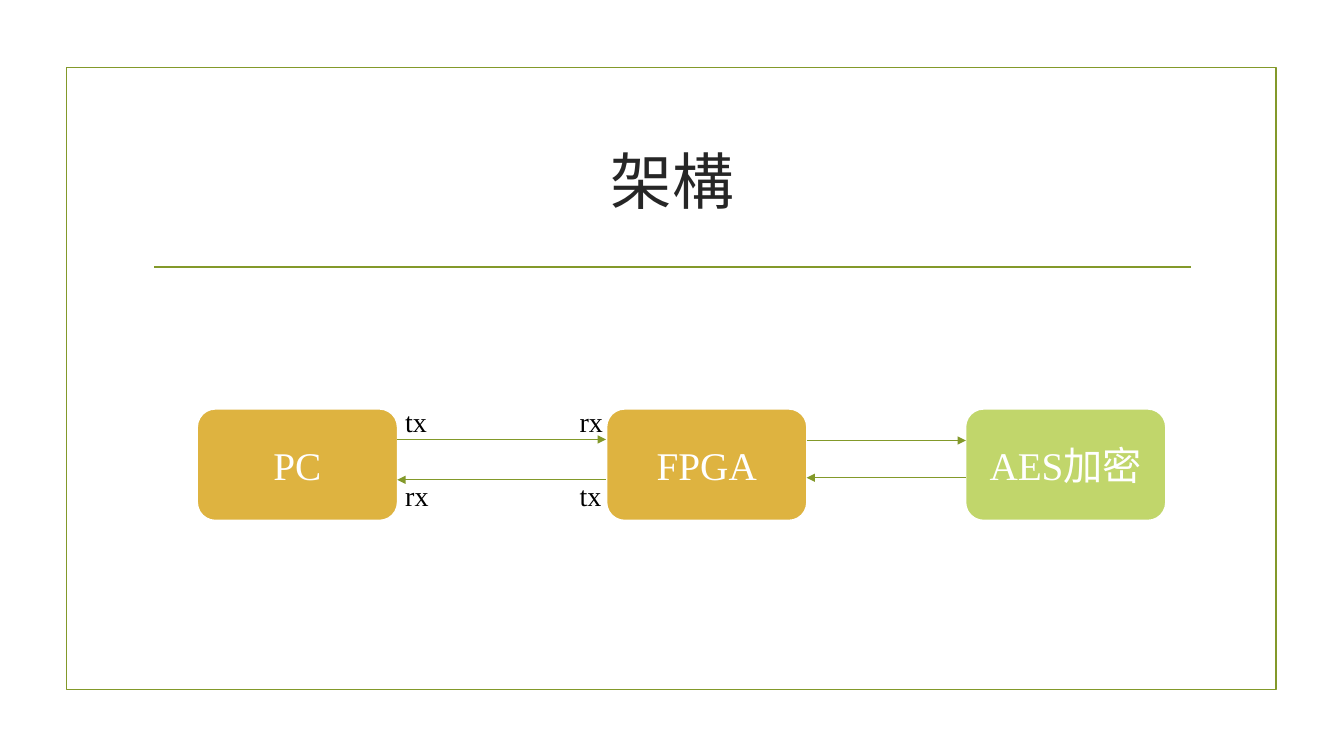
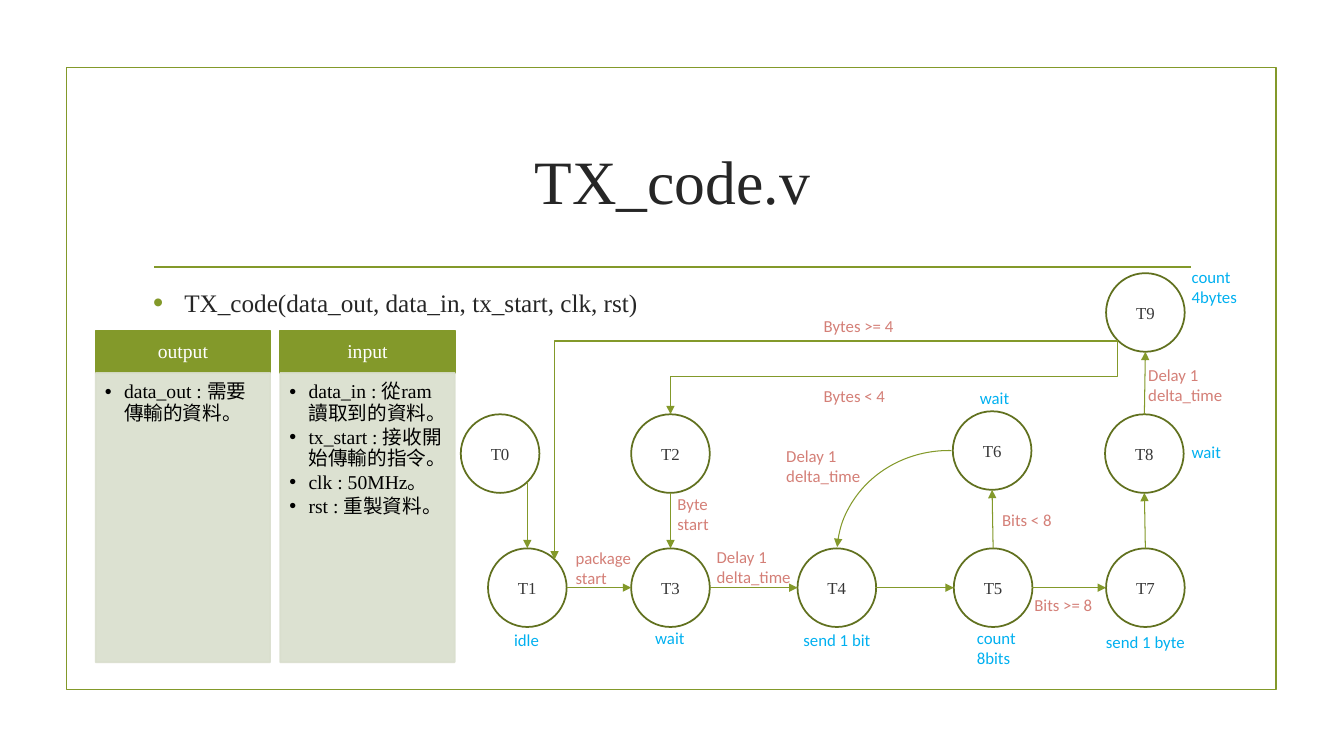
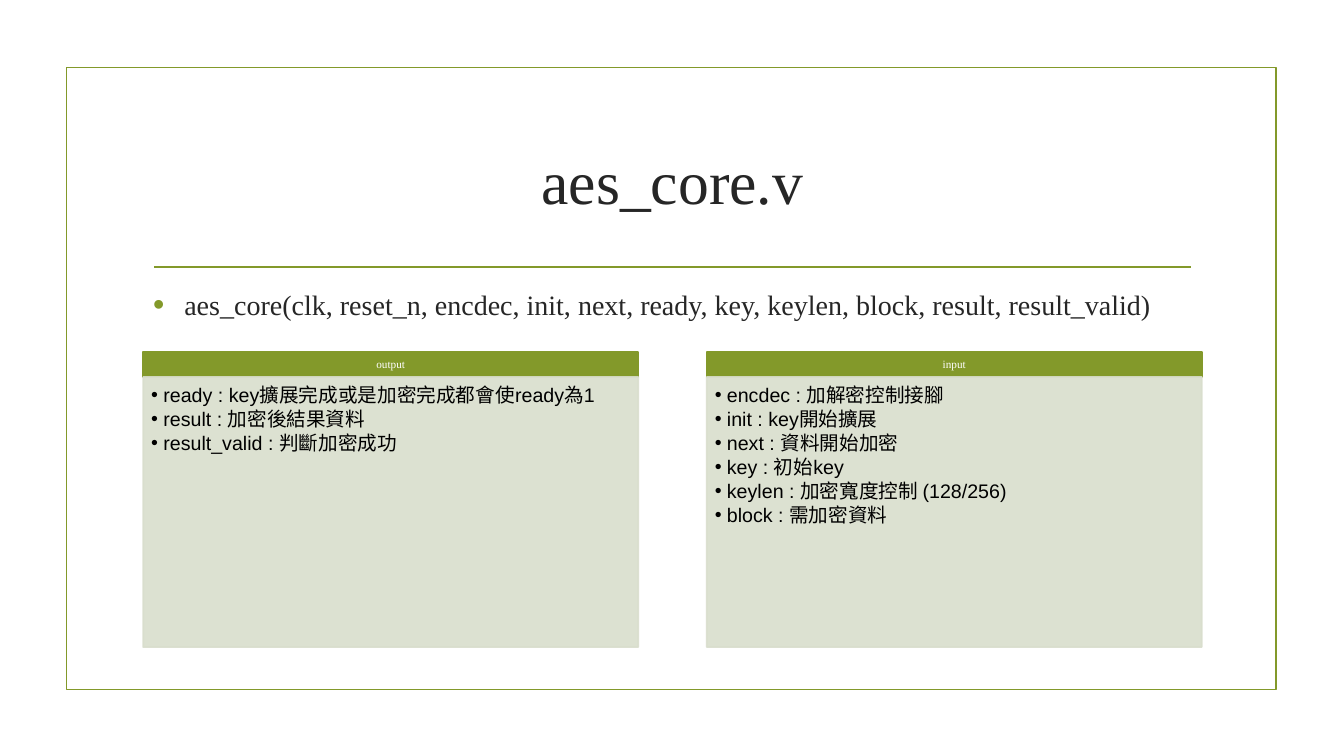
from lxml import etree
from pptx import Presentation
from pptx import util as u
from pptx.dml.color import RGBColor
from pptx.enum import shapes, text
from pptx.oxml.ns import qn

PX = 9144
GREEN, OLIVE, SAGE = "83992A", "61711F", "D9DECD"
GOLD, LIME, WHITE, BLACK = "DEB340", "C1D66B", "FFFFFF", "000000"
INK, STATE_INK, ROSE, SKY = "262626", "373737", "D47F77", "00B0F0"
SERIF, SANS, ARIAL = "Times New Roman", "Calibri", "Arial"
SHAPE = shapes.MSO_SHAPE
CENTER, MIDDLE = text.PP_ALIGN.CENTER, text.MSO_ANCHOR.MIDDLE

BLOCKS = [("PC", 195, GOLD), ("FPGA", 601, GOLD), ("AES加密", 957, LIME)]
BLOCK_TOP, BLOCK_W, BLOCK_H = 405, 200, 112
LINKS = [(394, 436, 601, 436), (601, 476, 394, 476),
         (800, 437, 958, 437), (958, 474, 800, 474)]
PORTS = [("tx", 392, 396), ("rx", 565, 396), ("rx", 392, 470), ("tx", 565, 470)]

STATES = {"T0": (496, 450), "T1": (523, 583), "T2": (665, 450), "T3": (665, 583),
          "T4": (830, 583), "T5": (985, 583), "T6": (984, 447), "T7": (1136, 583),
          "T8": (1135, 450), "T9": (1136, 310)}
RADIUS = 39
STEPS = [("T1", "T3"), ("T2", "T3"), ("T3", "T4"), ("T4", "T5"), ("T5", "T6"),
         ("T5", "T7"), ("T7", "T8"), ("T8", "T9")]
RETURNS = [(1108, 337, 550, 555, 0.006), (1108, 337, 665, 411, 0.5)]
NOTES = [
    ("idle", 500, 620, 48), ("wait", 640, 618, 51), ("send 1 bit", 787, 620, 88),
    ("count 8bits", 959, 618, 60), ("send 1 byte", 1087, 622, 101),
    ("wait", 962, 380, 51), ("wait", 1172, 433, 51), ("count 4bytes", 1172, 260, 71),
]
CONDITIONS = [
    ("package start", 561, 538, 78), ("Delay 1 delta_time", 701, 537, 106),
    ("Delay 1 delta_time", 1129, 357, 96), ("Delay 1 delta_time", 770, 437, 96),
    ("Bytes < 4", 807, 378, 91), ("Bytes >= 4", 807, 308, 91),
    ("Bits < 8", 984, 501, 78), ("Bits >= 8", 1016, 585, 91),
    ("Byte\nstart", 662, 485, 52),
]

TX_PANELS = [
    ("output", 95, ["data_out : 需要傳輸的資料。"]),
    ("input", 278, ["data_in : 從ram讀取到的資料。", "tx_start : 接收開始傳輸的指令。",
                    "clk : 50MHz。", "rst : 重製資料。"]),
]
TX_STYLE = dict(top=328, width=173, head_h=42, body_h=287, head_size=14, font=SERIF,
                indent=19, head_ins=(12, 7, 12, 7), body_ins=(9, 9, 12, 14))
AES_PANELS = [
    ("output", 142, ["ready : key擴展完成或是加密完成都會使ready為1",
                     "result : 加密後結果資料", "result_valid : 判斷加密成功"]),
    ("input", 701, ["encdec : 加解密控制接腳", "init : key開始擴展", "next : 資料開始加密",
                    "key : 初始key", "keylen : 加密寬度控制 (128/256)",
                    "block : 需加密資料"]),
]
AES_STYLE = dict(top=349, width=491, head_h=25, body_h=268, head_size=8, font=ARIAL,
                 indent=12, head_ins=(6, 4, 6, 4), body_ins=(8, 8, 11, 12))


def px(n):
    return u.Emu(round(n * PX))


def rgb(color):
    return RGBColor.from_string(color)


def write(sp, content, size, color, font=SERIF, align=None, anchor=text.MSO_ANCHOR.TOP,
          ins=(10, 5, 10, 5), spacing=None, before=0, after=0):
    tf = sp.text_frame
    tf.word_wrap = True
    tf.vertical_anchor = anchor
    tf.margin_left, tf.margin_top, tf.margin_right, tf.margin_bottom = map(px, ins)
    tf.text = content
    for p in tf.paragraphs:
        p.alignment = align or text.PP_ALIGN.LEFT
        p.space_before, p.space_after = u.Pt(before), u.Pt(after)
        if spacing:
            p.line_spacing = spacing
        for r in p.runs:
            r.font.size, r.font.name = u.Pt(size), font
            r.font.color.rgb = rgb(color)
    return sp


def label(s, x, y, w, h, content, size, color, **style):
    return write(s.shapes.add_textbox(px(x), px(y), px(w), px(h)), content, size, color, **style)


def bullets(sp, indent, color=None, percent=None):
    for p in sp.text_frame.paragraphs:
        pPr = p._p.get_or_add_pPr()
        pPr.set("marL", str(px(indent)))
        pPr.set("indent", str(-px(indent)))
        if color:
            clr = etree.SubElement(pPr, qn("a:buClr"))
            etree.SubElement(clr, qn("a:srgbClr"), val=color)
        if percent:
            etree.SubElement(pPr, qn("a:buSzPct"), val=str(percent * 1000))
        etree.SubElement(pPr, qn("a:buFont"), typeface=ARIAL)
        etree.SubElement(pPr, qn("a:buChar"), char="•")


def box(s, kind, x, y, w, h, fill=None, line=GREEN, width=1.25):
    sp = s.shapes.add_shape(kind, px(x), px(y), px(w), px(h))
    sp.shadow.inherit = False
    if fill:
        sp.fill.solid()
        sp.fill.fore_color.rgb = rgb(fill)
    else:
        sp.fill.background()
    sp.line.color.rgb = rgb(line)
    sp.line.width = u.Pt(width)
    return sp


def arrowhead(sp):
    etree.SubElement(sp.line._get_or_add_ln(), qn("a:tailEnd"), type="triangle")


def connect(s, x1, y1, x2, y2, width=0.75, arrow=True, kind=shapes.MSO_CONNECTOR.STRAIGHT):
    c = s.shapes.add_connector(kind, px(x1), px(y1), px(x2), px(y2))
    c.line.color.rgb = rgb(GREEN)
    c.line.width = u.Pt(width)
    if arrow:
        arrowhead(c)
    etree.SubElement(c._element.spPr, qn("a:effectLst"))
    return c


def elbow_down(s, x1, y1, x2, y2, bend):
    w, h = y2 - y1, x1 - x2
    left, top = (x1 + x2 - w) / 2, (y1 + y2 - h) / 2
    c = connect(s, left, top, left + w, top + h, kind=shapes.MSO_CONNECTOR.ELBOW)
    spPr = c._element.spPr
    spPr.find(qn("a:xfrm")).set("rot", "5400000")
    geom = spPr.find(qn("a:prstGeom"))
    av = geom.find(qn("a:avLst"))
    if av is None:
        av = etree.SubElement(geom, qn("a:avLst"))
    etree.SubElement(av, qn("a:gd"), name="adj1", fmla=f"val {round(bend * 100000)}")


def panel(s, head, x, items, top, width, head_h, body_h, head_size, font, indent,
          head_ins, body_ins):
    sp = box(s, SHAPE.RECTANGLE, x, top, width, head_h, GREEN)
    write(sp, head, head_size, WHITE, align=CENTER, anchor=MIDDLE, ins=head_ins, spacing=0.9)
    sp = box(s, SHAPE.RECTANGLE, x, top + head_h, width, body_h, SAGE, SAGE)
    for clr in sp._element.spPr.iter(qn("a:srgbClr")):
        etree.SubElement(clr, qn("a:alpha"), val="90000")
    write(sp, "\n".join(items), 14, BLACK, font=font, ins=body_ins, spacing=0.9, after=2)
    bullets(sp, indent)


def new_slide(prs, title, signature=None, size=18):
    s = prs.slides.add_slide(prs.slide_layouts[6])
    box(s, SHAPE.RECTANGLE, 66, 67, 1200, 617)
    connect(s, 153, 265, 1181, 265, width=1.25, arrow=False)
    label(s, 142, 107, 1050, 143, title, 44, INK, align=CENTER, anchor=MIDDLE)
    if signature:
        sp = label(s, 142, 280, 1050, 363, signature, size, INK, before=size * 0.2, after=6)
        bullets(sp, 31, GREEN, 115)
    return s


def architecture(prs):
    s = new_slide(prs, "架構")
    for name, x, fill in BLOCKS:
        sp = box(s, SHAPE.ROUNDED_RECTANGLE, x, BLOCK_TOP, BLOCK_W, BLOCK_H, fill, WHITE, 2)
        write(sp, name, 28, WHITE, align=CENTER, anchor=MIDDLE)
    for link in LINKS:
        connect(s, *link)
    for name, x, y in PORTS:
        label(s, x, y, 51, 44, name, 20, BLACK)


def state_machine(prs):
    s = new_slide(prs, "TX_code.v", "TX_code(data_out, data_in, tx_start, clk, rst)")
    for head, x, items in TX_PANELS:
        panel(s, head, x, items, **TX_STYLE)
    for name, (x, y) in STATES.items():
        sp = box(s, SHAPE.FLOWCHART_CONNECTOR, x - RADIUS, y - RADIUS,
                 2 * RADIUS, 2 * RADIUS, line=OLIVE)
        write(sp, name, 12, STATE_INK, align=CENTER, anchor=MIDDLE)
    for start, end in STEPS:
        (x1, y1), (x2, y2) = STATES[start], STATES[end]
        if y1 == y2:
            connect(s, x1 + RADIUS, y1, x2 - RADIUS, y2)
        else:
            r = RADIUS if y2 > y1 else -RADIUS
            connect(s, x1, y1 + r, x2, y2 - r)
    connect(s, 523, 478, 523, 544)
    for route in RETURNS:
        elbow_down(s, *route)
    arc = box(s, SHAPE.ARC, 830, 447, 222, 207, width=0.75)
    arc.adjustments[0], arc.adjustments[1] = 161.14, 213.59
    arc._element.spPr.find(qn("a:xfrm")).set("flipH", "1")
    arrowhead(arc)
    for notes, color in ((NOTES, SKY), (CONDITIONS, ROSE)):
        for content, x, y, w in notes:
            label(s, x, y, w, 29, content, 12, color, font=SANS)


def aes_core(prs):
    s = new_slide(prs, "aes_core.v", "aes_core(clk, reset_n, encdec, init, next, ready, "
                  "key, keylen, block, result, result_valid)", 20)
    for head, x, items in AES_PANELS:
        panel(s, head, x, items, **AES_STYLE)


def main():
    prs = Presentation()
    prs.slide_width, prs.slide_height = px(1333), px(750)
    architecture(prs)
    state_machine(prs)
    aes_core(prs)
    prs.save("out.pptx")


if __name__ == "__main__":
    main()
